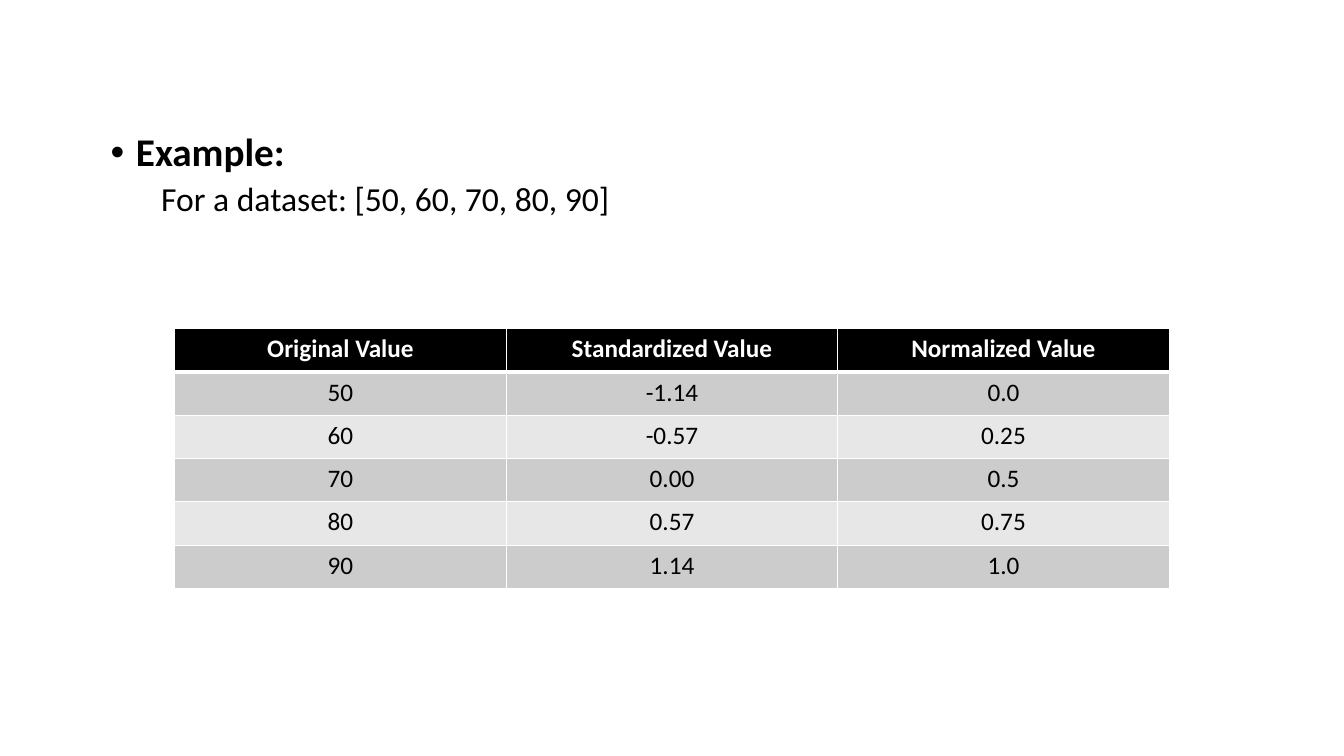
"""Build a slide comparing original, standardized and normalized values."""
import pptx
import pptx.dml.color
import pptx.enum.text
import pptx.oxml
import pptx.oxml.ns
import pptx.util

Pt = pptx.util.Pt
COLORS = {"black": "000000", "white": "FFFFFF", "odd": "CCCCCC", "even": "E7E7E7"}
HEADINGS = ["Original Value", "Standardized Value", "Normalized Value"]
VALUES = [
    ["50", "-1.14", "0.0"],
    ["60", "-0.57", "0.25"],
    ["70", "0.00", "0.5"],
    ["80", "0.57", "0.75"],
    ["90", "1.14", "1.0"],
]
INTRO = [
    ("Example:", 28, True, 10, 18, -18, "•"),
    ("For a dataset: [50, 60, 70, 80, 90]", 24, False, 5, 36, 0, None),
]


def style_text(para, size, bold, color):
    for span in para.runs:
        span.font.name = "Calibri"
        span.font.size = Pt(size)
        span.font.bold = bold
        span.font.color.rgb = pptx.dml.color.RGBColor.from_string(COLORS[color])


def add_border(cell, side, width):
    cell._tc.get_or_add_tcPr().append(pptx.oxml.parse_xml(
        f'<a:{side} {pptx.oxml.ns.nsdecls("a")} w="{Pt(width)}"><a:solidFill>'
        f'<a:srgbClr val="{COLORS["white"]}"/></a:solidFill></a:{side}>'))


deck = pptx.Presentation()
deck.slide_width = Pt(960)
deck.slide_height = Pt(540)
page = deck.slides.add_slide(deck.slide_layouts[6])

box = page.shapes.add_textbox(Pt(72), Pt(91.44), Pt(816), Pt(364.3))
frame = box.text_frame
frame.word_wrap = True
frame.text = "\n".join(line[0] for line in INTRO)
for para, (_, size, bold, space, margin, indent, bullet) in zip(frame.paragraphs, INTRO):
    para.line_spacing = 0.9
    para.space_before = Pt(space)
    style_text(para, size, bold, "black")
    properties = para._p.get_or_add_pPr()
    properties.set("marL", str(Pt(margin)))
    properties.set("indent", str(Pt(indent)))
    if bullet:
        for tag in (f'buFont typeface="Arial"', f'buChar char="{bullet}"'):
            name, attribute = tag.split(" ", 1)
            properties.append(pptx.oxml.parse_xml(
                f'<a:{name} {pptx.oxml.ns.nsdecls("a")} {attribute}/>'))

rows = [HEADINGS] + VALUES
table = page.shapes.add_table(
    len(rows), len(HEADINGS), Pt(124.8), Pt(234.9), Pt(710.4), Pt(185.4)).table
for column in table.columns:
    column.width = Pt(236.8)
for row_index, values in enumerate(rows):
    header = row_index == 0
    table.rows[row_index].height = Pt(30.9)
    fill = "black" if header else "odd" if row_index % 2 else "even"
    for column_index, value in enumerate(values):
        cell = table.cell(row_index, column_index)
        for side in ("lnL", "lnR", "lnT", "lnB"):
            thick = (header and side == "lnB") or (row_index == 1 and side == "lnT")
            add_border(cell, side, 3 if thick else 1)
        cell.fill.solid()
        cell.fill.fore_color.rgb = pptx.dml.color.RGBColor.from_string(COLORS[fill])
        cell.text_frame.text = value
        para = cell.text_frame.paragraphs[0]
        para.alignment = pptx.enum.text.PP_ALIGN.CENTER
        style_text(para, 18, header, "white" if header else "black")

deck.save("out.pptx")
